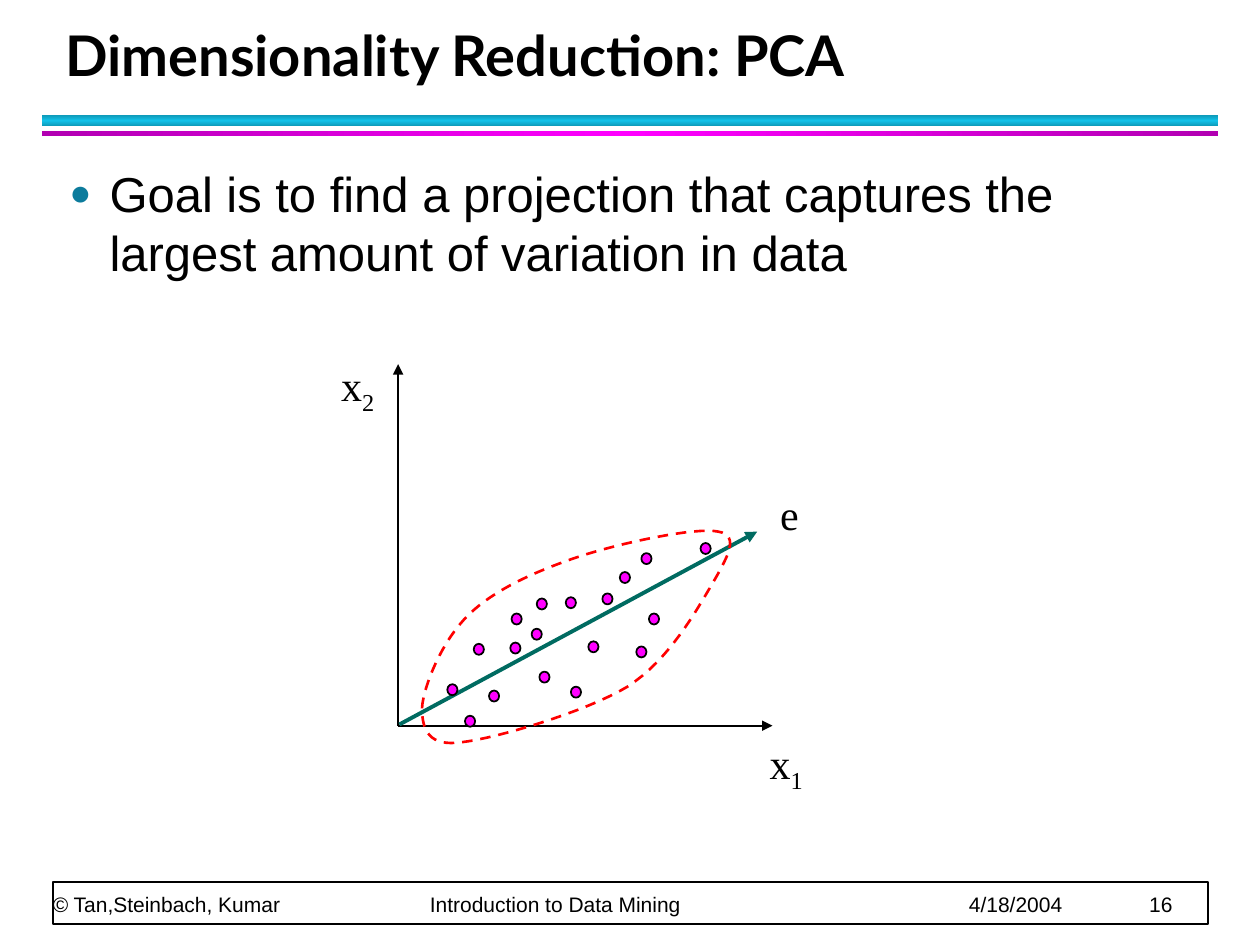
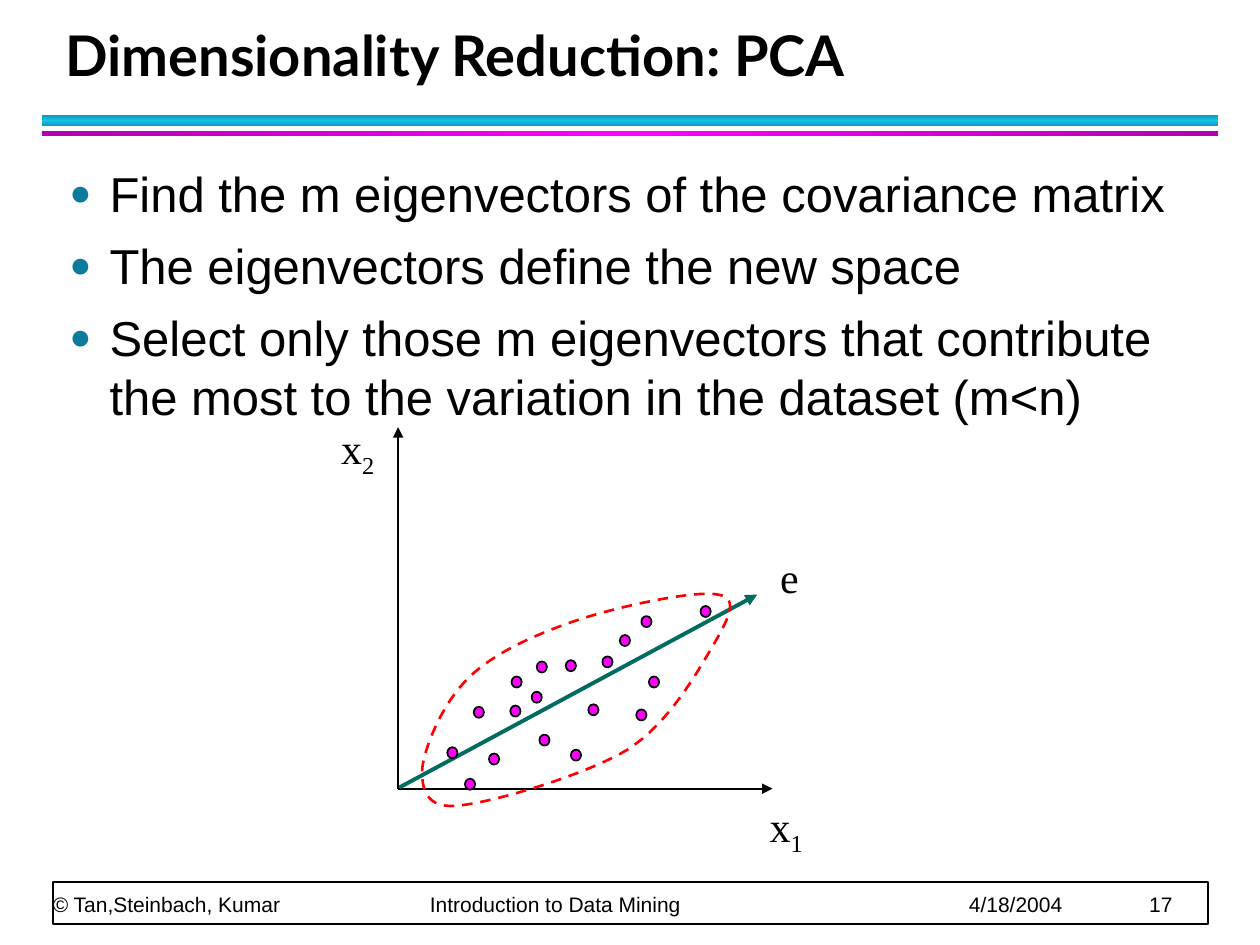
import copy
import dataclasses
import typing

import lxml.etree
import pptx
import pptx.dml.color
import pptx.enum.dml
import pptx.enum.shapes
import pptx.enum.text
import pptx.oxml.ns
import pptx.util

Pt = pptx.util.Pt
RGB = pptx.dml.color.RGBColor
Shape = pptx.enum.shapes.MSO_SHAPE
Anchor = pptx.enum.text.MSO_ANCHOR
Align = pptx.enum.text.PP_ALIGN
Fit = pptx.enum.text.MSO_AUTO_SIZE
qn = pptx.oxml.ns.qn

# Colours and fonts
BLACK = RGB(0x00, 0x00, 0x00)
WHITE = RGB(0xFF, 0xFF, 0xFF)
CYAN = RGB(0x12, 0xC2, 0xE9)
TEAL = RGB(0x0E, 0x9B, 0xBA)
PINK = RGB(0xFF, 0x00, 0xFF)
PURPLE = RGB(0xB2, 0x00, 0xB2)
GREEN = RGB(0x00, 0x6B, 0x61)
RED = RGB(0xFF, 0x00, 0x00)
BULLET = RGB(0x0C, 0x7B, 0x9C)
HEAD, SANS, SERIF = "Lato", "Arial", "Times New Roman"

Point = tuple[float, float]


@dataclasses.dataclass(frozen=True)
class Box:
    left: float
    top: float
    width: float
    height: float

    def emu(self, drop: float = 0) -> list[int]:
        return [Pt(v) for v in (self.left, self.top + drop, self.width, self.height)]


@dataclasses.dataclass(frozen=True)
class Band:
    box: Box
    edge: RGB
    core: RGB
    angle: int


@dataclasses.dataclass(frozen=True)
class Arrow:
    start: Point
    end: Point
    color: RGB
    width: float


@dataclasses.dataclass(frozen=True)
class Label:
    box: Box
    text: str
    sub: str = ""


@dataclasses.dataclass(frozen=True)
class Page:
    number: int
    points: list[str]
    drop: float  # how far the plot sits below its base place


# Shared frame
TITLE = "Dimensionality Reduction: PCA"
TITLE_BOX = Box(30.2, 12.2, 652.3, 41.8)
BODY_BOX = Box(32.4, 90, 655.2, 408.2)
FOOT_RECT = Box(30.2, 504, 660.2, 24)
FOOT_BOX = Box(30.2, 483.8, 658.8, 40.3)
FOOT_TABS = (215.5, 523.5, 626.5)
FOOT_TEXT = ["© Tan,Steinbach, Kumar", "Introduction to Data Mining", "4/18/2004"]
BANDS = [
    Band(Box(24, 66, 672, 6), TEAL, CYAN, 90),
    Band(Box(24, 75, 672, 3), PURPLE, PINK, 0),
]

# Plot, in slide points
ORIGIN = (227.5, 414.7)
ARROWS = [
    Arrow(ORIGIN, (227.5, 208.1), BLACK, 1),
    Arrow(ORIGIN, (441.4, 414.7), BLACK, 1),
    Arrow((228.2, 414), (432.7, 303.8), GREEN, 2.25),
]
DOT_SIZE = (5.8, 6.3)
DOTS = [
    (270.7, 367.9), (292.3, 350.6), (255.6, 391), (303.8, 359.3),
    (291.6, 367.2), (336.2, 366.5), (326.2, 392.4), (308.2, 383.8),
    (323.3, 341.3), (370.8, 350.6), (400.3, 310.3), (279.4, 394.6),
    (344.2, 339.1), (366.5, 316.1), (306.7, 342), (354.2, 326.9),
    (363.6, 369.4), (265.7, 409),
]
CLOUD_START = (241.2, 404.6)
CLOUD = [
    ((241.9, 392.4), (252.7, 365.8), (267.8, 351.4)),
    ((282.2, 337), (306.7, 326.2), (330.5, 318.2)),
    ((354.2, 310.3), (398.2, 301), (410.4, 303.8)),
    ((423.4, 306), (415.4, 319), (406.8, 334.1)),
    ((398.2, 348.5), (382.3, 377.3), (358.6, 392.4)),
    ((334.8, 406.8), (283.7, 421.9), (264.2, 424.1)),
    ((244.8, 427), (241.2, 416.9), CLOUD_START),
]
CURVE_STEPS = 16
LABELS = [
    Label(Box(187.9, 201.6, 33.1, 40.3), "x", "2"),
    Label(Box(432.7, 417.6, 33.1, 40.3), "x", "1"),
    Label(Box(438.5, 275.8, 25.2, 36), "e"),
]

PAGES = [
    Page(16, ["Goal is to find a projection that captures the largest amount "
              "of variation in data"], 0),
    Page(17, ["Find the m eigenvectors of the covariance matrix",
              "The eigenvectors define the new space",
              "Select only those m eigenvectors that contribute the most to "
              "the variation in the dataset (m<n)"], 36),
]


def add_run(par: typing.Any, text: str, font: str, size: float,
            bold: bool = False) -> typing.Any:
    run = par.add_run()
    run.text = text
    run.font.name, run.font.size, run.font.bold = font, Pt(size), bold
    run.font.color.rgb = BLACK
    return run


def add_xml(parent: typing.Any, tag: str, **attrs: str) -> typing.Any:
    return lxml.etree.SubElement(parent, qn(tag), attrs)


def place(shape: typing.Any, box: Box) -> typing.Any:
    shape.left, shape.top, shape.width, shape.height = box.emu()
    shape.text_frame.auto_size = Fit.NONE
    return shape.text_frame


def add_solid(slide: typing.Any, kind: Shape, box: Box, color: RGB,
              drop: float = 0) -> None:
    shape = slide.shapes.add_shape(kind, *box.emu(drop))
    shape.shadow.inherit = False
    shape.fill.solid()
    shape.fill.fore_color.rgb = color
    shape.line.color.rgb = BLACK
    shape.line.width = Pt(1)


def add_band(slide: typing.Any, band: Band) -> None:
    shape = slide.shapes.add_shape(Shape.RECTANGLE, *band.box.emu())
    shape.shadow.inherit = False
    shape.line.fill.background()
    shape.fill.gradient()
    shape.fill.gradient_angle = band.angle
    stops = shape.element.find(".//" + qn("a:gsLst"))
    stops.append(copy.deepcopy(stops[0]))
    colors = (band.edge, band.core, band.edge)
    for i, (stop, color) in enumerate(zip(shape.fill.gradient_stops, colors)):
        stop.color.rgb = color
        stop.position = i / 2


def add_title(slide: typing.Any) -> None:
    frame = place(slide.shapes.title, TITLE_BOX)
    frame.vertical_anchor = Anchor.BOTTOM
    par = frame.paragraphs[0]
    par.alignment = Align.LEFT
    par.line_spacing = Pt(36)
    add_run(par, TITLE, HEAD, 32, bold=True)


def add_list(slide: typing.Any, points: list[str]) -> None:
    frame = place(slide.placeholders[1], BODY_BOX)
    for i, point in enumerate(points):
        par = frame.add_paragraph() if i else frame.paragraphs[0]
        par.space_before, par.space_after = Pt(3.5), Pt(4)
        props = par._p.get_or_add_pPr()
        props.set("marL", str(Pt(23)))
        props.set("indent", str(-Pt(23)))
        add_xml(add_xml(props, "a:buClr"), "a:srgbClr", val=str(BULLET))
        add_xml(props, "a:buSzPct", val="75000")
        add_xml(props, "a:buChar", char="●")
        add_run(par, point, SANS, 28)


def add_footer(slide: typing.Any, number: int) -> None:
    add_solid(slide, Shape.RECTANGLE, FOOT_RECT, WHITE)
    frame = slide.shapes.add_textbox(*FOOT_BOX.emu()).text_frame
    frame.word_wrap = True
    frame.vertical_anchor = Anchor.BOTTOM
    frame.margin_left = frame.margin_right = 0
    frame.margin_top = frame.margin_bottom = 0
    par = frame.paragraphs[0]
    par.line_spacing = Pt(20)
    tabs = add_xml(par._p.get_or_add_pPr(), "a:tabLst")
    for tab in FOOT_TABS:
        add_xml(tabs, "a:tab", pos=str(Pt(tab)), algn="l")
    for i, text in enumerate([*FOOT_TEXT, str(number)]):
        add_run(par, "\t" + text if i else text, SANS, 12)


def add_arrow(slide: typing.Any, arrow: Arrow, drop: float) -> None:
    (x1, y1), (x2, y2) = arrow.start, arrow.end
    line = slide.shapes.add_connector(
        pptx.enum.shapes.MSO_CONNECTOR.STRAIGHT,
        Pt(x1), Pt(y1 + drop), Pt(x2), Pt(y2 + drop))
    line.line.color.rgb = arrow.color
    line.line.width = Pt(arrow.width)
    add_xml(line.element.find(".//" + qn("a:ln")), "a:tailEnd", type="triangle")
    add_xml(line.element.spPr, "a:effectLst")


def trace_cloud() -> list[Point]:
    """Sample the cubic curves that bound the data cloud."""
    path, start = [], CLOUD_START
    for curve in CLOUD:
        for step in range(1, CURVE_STEPS + 1):
            t = step / CURVE_STEPS
            u = 1 - t
            parts = (u ** 3, 3 * u * u * t, 3 * u * t * t, t ** 3)
            knots = (start, *curve)
            path.append((sum(w * k[0] for w, k in zip(parts, knots)),
                         sum(w * k[1] for w, k in zip(parts, knots))))
        start = curve[-1]
    return path


def add_cloud(slide: typing.Any, drop: float) -> None:
    x, y = CLOUD_START
    pen = slide.shapes.build_freeform(Pt(x), Pt(y + drop))
    pen.add_line_segments([(Pt(x), Pt(y + drop)) for x, y in trace_cloud()])
    shape = pen.convert_to_shape()
    shape.shadow.inherit = False
    shape.fill.background()
    shape.line.color.rgb = RED
    shape.line.width = Pt(1.5)
    shape.line.dash_style = pptx.enum.dml.MSO_LINE.DASH


def add_label(slide: typing.Any, label: Label, drop: float) -> None:
    frame = slide.shapes.add_textbox(*label.box.emu(drop)).text_frame
    frame.word_wrap = False
    frame.auto_size = Fit.SHAPE_TO_FIT_TEXT
    frame.vertical_anchor = Anchor.MIDDLE
    par = frame.paragraphs[0]
    par.alignment = Align.CENTER
    add_run(par, label.text, SERIF, 24)
    if label.sub:
        run = add_run(par, label.sub, SERIF, 24)
        run._r.get_or_add_rPr().set("baseline", "-25000")


def add_plot(slide: typing.Any, drop: float) -> None:
    for arrow in ARROWS:
        add_arrow(slide, arrow, drop)
    add_cloud(slide, drop)
    for dot in DOTS:
        add_solid(slide, Shape.OVAL, Box(*dot, *DOT_SIZE), PINK, drop)
    for label in LABELS:
        add_label(slide, label, drop)


def main() -> None:
    deck = pptx.Presentation()
    deck.slide_width, deck.slide_height = Pt(720), Pt(540)
    for page in PAGES:
        slide = deck.slides.add_slide(deck.slide_layouts[1])
        for band in BANDS:
            add_band(slide, band)
        add_footer(slide, page.number)
        add_title(slide)
        add_list(slide, page.points)
        add_plot(slide, page.drop)
    deck.save("out.pptx")


if __name__ == "__main__":
    main()
